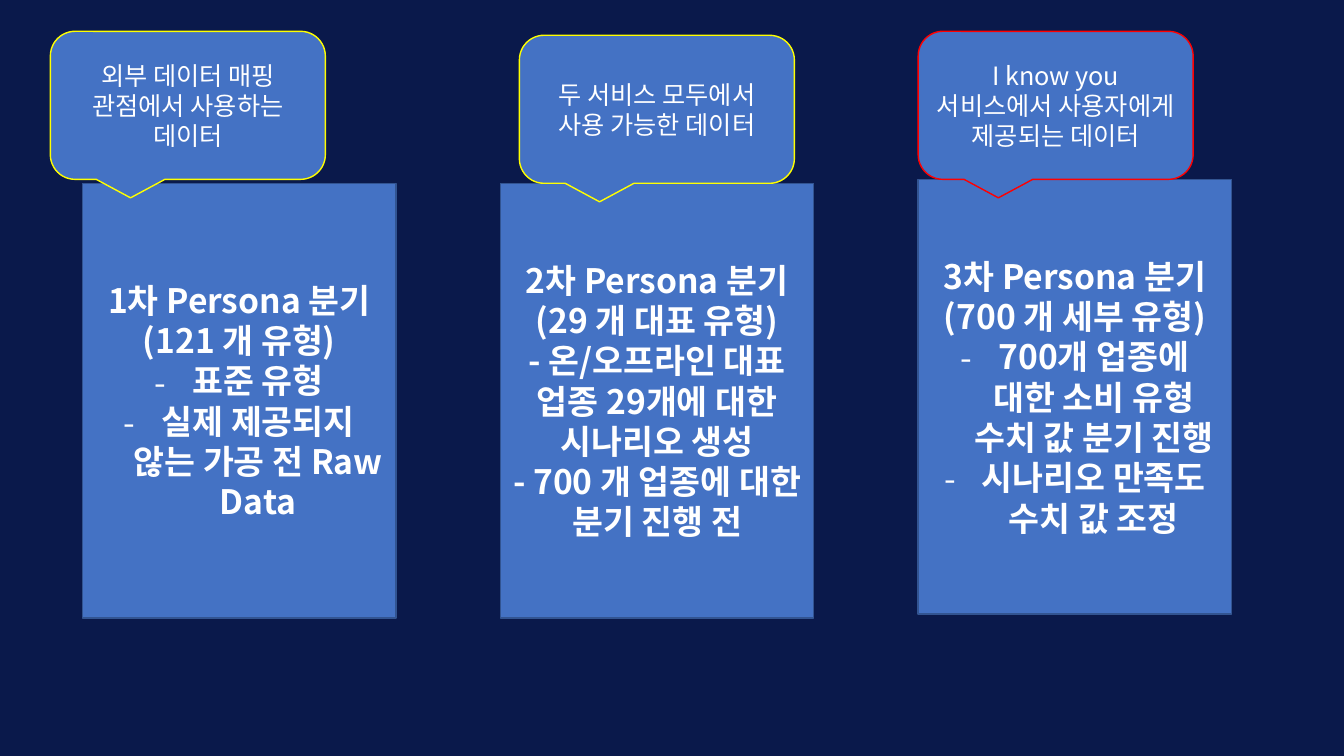
from lxml import etree
from pptx import Presentation
from pptx.dml.color import RGBColor
from pptx.enum import shapes, text
from pptx.oxml import ns
from pptx.util import Cm, Pt

COLORS = {"navy": "0A194B", "blue": "4472C4", "edge": "325491",
          "white": "FFFFFF", "yellow": "FFFF00", "red": "FF0000"}
FONT = "Noto Sans CJK KR"
CARD_FORMAT = {"size": Pt(24), "bold": True, "name": FONT}
CALLOUT_FORMAT = {"size": Pt(18), "bold": False, "name": FONT}

CARD_LEFT, CARD_PITCH = 2.08, 10.53
CARD_WIDTH, CARD_HEIGHT = 7.9, 10.95
CALLOUT_WIDTH, CALLOUT_HEIGHT = 6.93, 3.73
BULLET_INDENT = 0.95

# Each card line is (wording, has a dash bullet); callout shift and lift are in cm.
STAGES = [
    {"top": 4.62, "shift": -0.81, "lift": 0.1, "edge": "yellow",
     "source": "외부 데이터 매핑 관점에서 사용하는 데이터",
     "lines": [("1차 Persona 분기", False), ("(121 개 유형)", False),
               ("표준 유형", True),
               ("실제 제공되지 않는 가공 전 Raw Data", True)]},
    {"top": 4.62, "shift": 0.48, "lift": 0, "edge": "yellow",
     "source": "두 서비스 모두에서 사용 가능한 데이터",
     "lines": [("2차 Persona 분기", False), ("(29 개 대표 유형)", False),
               ("- 온/오프라인 대표 업종 29개에 대한 시나리오 생성", False),
               ("- 700 개 업종에 대한 분기 진행 전", False)]},
    {"top": 4.52, "shift": 0, "lift": 0, "edge": "red",
     "source": "I know you 서비스에서 사용자에게 제공되는 데이터",
     "lines": [("3차 Persona 분기", False), ("(700 개 세부 유형)", False),
               ("700개 업종에 대한 소비 유형 수치 값 분기 진행", True),
               ("시나리오 만족도 수치 값 조정", True)]},
]


def color(name):
    return RGBColor.from_string(COLORS[name])


def add_dash(para):
    """Give the paragraph a dash bullet with a hanging indent."""
    props = para._p.get_or_add_pPr()
    props.set("marL", str(Cm(BULLET_INDENT)))
    props.set("indent", str(-Cm(BULLET_INDENT)))
    etree.SubElement(props, ns.qn("a:buFont"), typeface=FONT)
    etree.SubElement(props, ns.qn("a:buChar"), char="-")


def add_text_shape(page, kind, box, edge, lines, text_format):
    """Draw a blue shape in the box (left, top, width, height) with centred text."""
    shape = page.shapes.add_shape(kind, *(Cm(length) for length in box))
    shape.shadow.inherit = False
    shape.fill.solid()
    shape.fill.fore_color.rgb = color("blue")
    shape.line.color.rgb = color(edge)
    shape.line.width = Pt(1)
    frame = shape.text_frame
    frame.word_wrap = True
    frame.vertical_anchor = text.MSO_ANCHOR.MIDDLE
    for index, (wording, dashed) in enumerate(lines):
        para = frame.add_paragraph() if index else frame.paragraphs[0]
        para.alignment = text.PP_ALIGN.CENTER
        if dashed:
            add_dash(para)
        span = para.add_run()
        span.text = wording
        span.font.color.rgb = color("white")
        for attribute, value in text_format.items():
            setattr(span.font, attribute, value)
        etree.SubElement(span._r.get_or_add_rPr(), ns.qn("a:ea"), typeface=FONT)


def add_card(page, left, stage):
    box = (left, stage["top"], CARD_WIDTH, CARD_HEIGHT)
    add_text_shape(page, shapes.MSO_SHAPE.RECTANGLE, box, "edge",
                   stage["lines"], CARD_FORMAT)


def add_callout(page, left, stage):
    """Rest the callout on the top edge of the card that starts at left."""
    box = (left + stage["shift"], stage["top"] - stage["lift"] - CALLOUT_HEIGHT,
           CALLOUT_WIDTH, CALLOUT_HEIGHT)
    add_text_shape(page, shapes.MSO_SHAPE.ROUNDED_RECTANGULAR_CALLOUT, box,
                   stage["edge"], [(stage["source"], False)], CALLOUT_FORMAT)


def main():
    deck = Presentation()
    deck.slide_width, deck.slide_height = Cm(33.87), Cm(19.05)
    page = deck.slides.add_slide(deck.slide_layouts[6])
    page.background.fill.solid()
    page.background.fill.fore_color.rgb = color("navy")
    for add_part in (add_card, add_callout):
        for index, stage in enumerate(STAGES):
            add_part(page, CARD_LEFT + index * CARD_PITCH, stage)
    deck.save("out.pptx")


if __name__ == "__main__":
    main()
